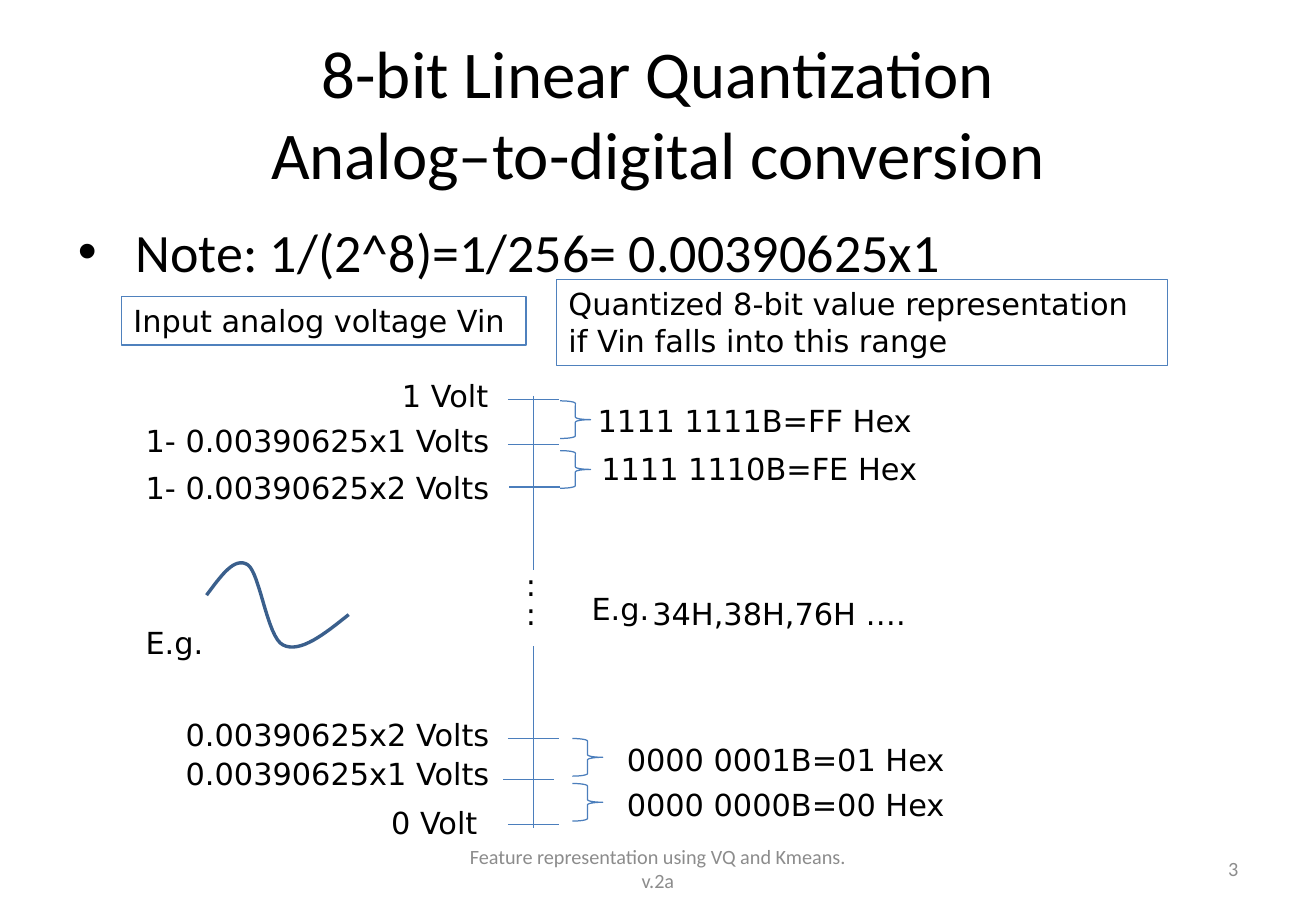
from pptx import Presentation
from pptx import util as u
from pptx.dml.color import RGBColor
from pptx.enum import shapes, text
from pptx.oxml import parse_xml
from pptx.oxml.ns import nsdecls

CELL = u.Inches(0.1)  # one column or row of the layout grid
BLACK, GREY, BLUE, BOX_BLUE, WAVE_BLUE = "000000", "8C8C8C", "4B7EBC", "4F81BD", "3A5F8C"


def grid(*cells):
    return [round(cell * CELL) for cell in cells]


def paint(color_format, hex_color):
    color_format.rgb = RGBColor.from_string(hex_color)


presentation = Presentation()
presentation.slide_width, presentation.slide_height = grid(108.3, 75)
slide = presentation.slides.add_slide(presentation.slide_layouts[1])

# Title and note
placeholders = [
    (slide.shapes.title, "8-bit Linear Quantization\vAnalog–to-digital conversion", 3, 12.5, 39.6),
    (slide.placeholders[1], " Note: 1/(2^8)=1/256= 0.00390625x1", 17.5, 49.5, 32),
]
for shape, wording, top, height, size in placeholders:
    shape.left, shape.top, shape.width, shape.height = grid(5.4, top, 97.5, height)
    shape.text_frame.text = wording
    paragraph = shape.text_frame.paragraphs[0]
    paragraph.font.size = u.Pt(size)
    paragraph.font.name = "Calibri"
    paint(paragraph.font.color, BLACK)

# Voltage axis in two parts, with its ticks
axis_column, tick_width = 43.9, 4.2
ticks = [(41.8, 32.9), (41.8, 36.6), (41.9, 40.1), (41.8, 60.8), (41.4, 64.2), (41.8, 67.9)]
lines = [(axis_column, 32.6, axis_column, 46.9), (axis_column, 53.2, axis_column, 68.2)]
lines += [(left, row, left + tick_width, row) for left, row in ticks]
for ends in lines:
    connector = slide.shapes.add_connector(shapes.MSO_CONNECTOR.STRAIGHT, *grid(*ends))
    connector.line.width = u.Pt(0.75)
    paint(connector.line.color, BLUE)
    connector._element.spPr.append(parse_xml(f"<a:effectLst {nsdecls('a')}/>"))

# Braces that span one quantization step
for left, top in [(46.1, 33), (46.1, 37.1), (47.1, 60.8), (47.1, 64.5)]:
    brace = slide.shapes.add_shape(shapes.MSO_SHAPE.RIGHT_BRACE, *grid(left, top, 2.5, 3.1))
    brace.shadow.inherit = False
    brace.fill.background()
    brace.line.width = u.Pt(0.75)
    paint(brace.line.color, BLUE)

# Boxed headings
captions = []
headings = [
    ("Input analog voltage Vin", 10, 24.4, 33.3, 4),
    ("Quantized 8-bit value representation\nif Vin falls into this range", 45.8, 23, 50.3, 7.1),
]
for wording, *place in headings:
    box = slide.shapes.add_shape(shapes.MSO_SHAPE.RECTANGLE, *grid(*place))
    box.shadow.inherit = False
    box.fill.background()
    box.line.width = u.Pt(0.75)
    paint(box.line.color, BOX_BLUE)
    captions.append((box, wording))

# Voltages on the left, codes on the right
labels = [
    ("1 Volt", 32.1, 30.6, 9.3),
    ("1- 0.00390625x1 Volts", 11, 34.3, 31.2),
    ("1- 0.00390625x2 Volts", 11, 38.1, 31.2),
    ("E.g.", 11, 50.9, 7),
    ("0.00390625x2 Volts", 14.3, 58.5, 27.6),
    ("0.00390625x1 Volts", 14.3, 61.7, 27.6),
    ("0 Volt", 31.2, 65.7, 9.3),
    (":", 42.3, 46.1, 3.2),
    (":", 42.3, 48.5, 3.2),
    ("1111 1111B=FF Hex", 48.2, 32.6, 28.3),
    ("1111 1110B=FE Hex", 48.5, 36.6, 28.5),
    ("E.g.", 47.7, 48.1, 7),
    ("34H,38H,76H ….", 52.7, 48.5, 23.1),
    ("0000 0001B=01 Hex", 50.6, 60.5, 28.6),
    ("0000 0000B=00 Hex", 50.6, 64.2, 28.6),
]
for wording, left, top, width in labels:
    captions.append((slide.shapes.add_textbox(*grid(left, top, width, 4)), wording))

for shape, wording in captions:
    frame = shape.text_frame
    frame.text = wording
    frame.word_wrap = False
    frame.auto_size = text.MSO_AUTO_SIZE.SHAPE_TO_FIT_TEXT
    frame.vertical_anchor = text.MSO_ANCHOR.TOP
    for paragraph in frame.paragraphs:
        paragraph.alignment = text.PP_ALIGN.LEFT
        paragraph.font.size = u.Pt(18)
        paragraph.font.name = "DejaVu Sans"
        paint(paragraph.font.color, BLACK)

# Analog wave: three Bezier arcs sampled at equal steps
wave_start = (17, 49)
arcs = [
    ((18.2, 47.4), (19.3, 45.8), (20.4, 46.5)),
    ((21.4, 47.2), (22, 52.5), (23.3, 53.1)),
    ((24.7, 53.8), (26.7, 52.2), (28.7, 50.6)),
]
steps = 16
points = [wave_start]
for control_1, control_2, end in arcs:
    corners = (points[-1], control_1, control_2, end)
    for step in range(1, steps + 1):
        t = step / steps
        weights = ((1 - t) ** 3, 3 * t * (1 - t) ** 2, 3 * t**2 * (1 - t), t**3)
        points.append(tuple(sum(w * c[axis] for w, c in zip(weights, corners)) for axis in (0, 1)))
builder = slide.shapes.build_freeform(*grid(*wave_start))
builder.add_line_segments([grid(*point) for point in points[1:]], close=False)
wave = builder.convert_to_shape()
wave.shadow.inherit = False
wave.fill.background()
wave.line.width = u.Pt(2)
paint(wave.line.color, WAVE_BLUE)

# Footer and slide number
footers = [
    ("Feature representation using VQ and Kmeans. v.2a", 37, 34.3, text.PP_ALIGN.CENTER),
    ("3", 77.6, 25.3, text.PP_ALIGN.RIGHT),
]
for wording, left, width, alignment in footers:
    frame = slide.shapes.add_textbox(*grid(left, 69.5, width, 4)).text_frame
    frame.text = wording
    frame.word_wrap = True
    frame.vertical_anchor = text.MSO_ANCHOR.MIDDLE
    paragraph = frame.paragraphs[0]
    paragraph.alignment = alignment
    paragraph.font.size = u.Pt(12)
    paragraph.font.name = "Calibri"
    paint(paragraph.font.color, GREY)

presentation.save("out.pptx")
